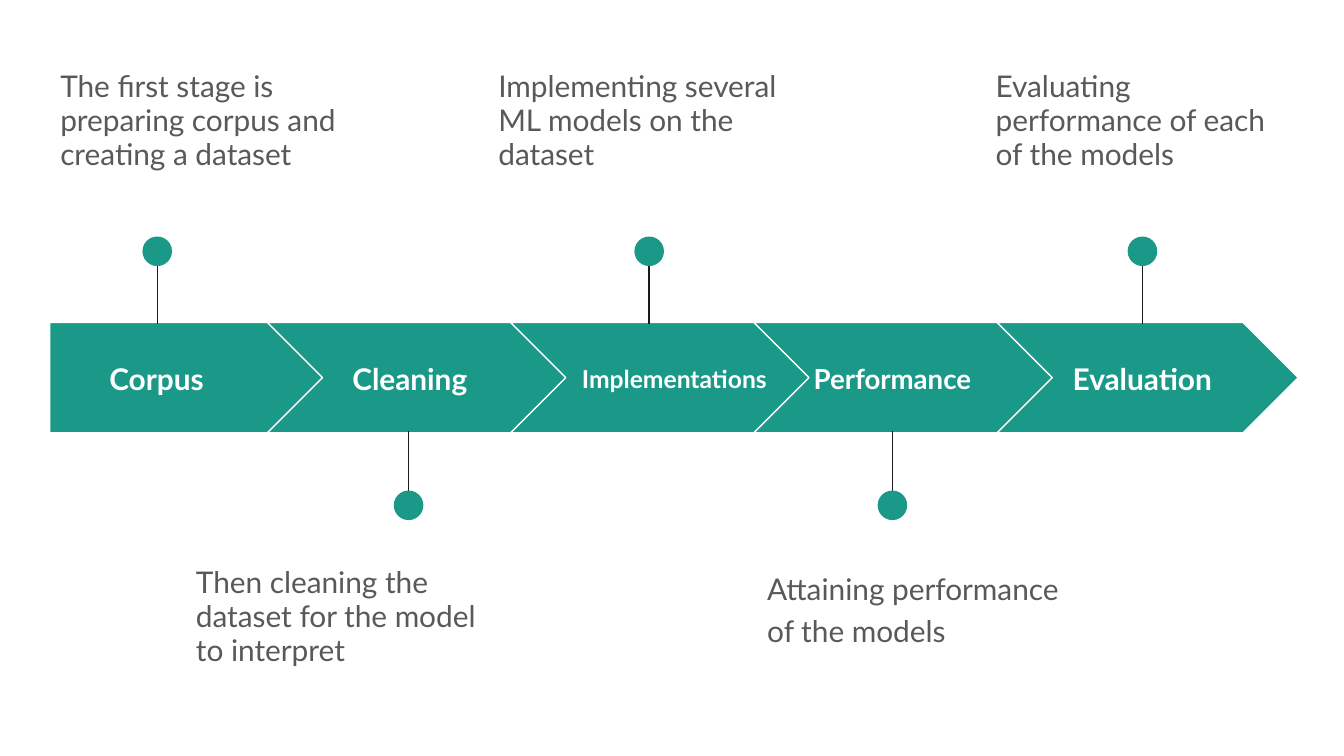
from dataclasses import dataclass

from lxml import etree
from pptx import Presentation
from pptx.dml.color import RGBColor
from pptx.enum.shapes import MSO_CONNECTOR, MSO_SHAPE
from pptx.enum.text import MSO_ANCHOR, PP_ALIGN
from pptx.oxml.ns import qn
from pptx.util import Inches, Pt

STRAIGHT = MSO_CONNECTOR.STRAIGHT
PENTAGON, CHEVRON, OVAL = MSO_SHAPE.PENTAGON, MSO_SHAPE.CHEVRON, MSO_SHAPE.OVAL
TOP, MIDDLE = MSO_ANCHOR.TOP, MSO_ANCHOR.MIDDLE
LEFT, CENTER = PP_ALIGN.LEFT, PP_ALIGN.CENTER


@dataclass(frozen=True)
class Theme:
    font: str = "Lato"
    accent: RGBColor = RGBColor(0x1A, 0x99, 0x88)
    white: RGBColor = RGBColor(0xFF, 0xFF, 0xFF)
    body: RGBColor = RGBColor(0x59, 0x59, 0x59)
    stem: RGBColor = RGBColor(0x1A, 0x1A, 0x1A)
    text_size: float = 16
    line_width: float = 0.75


theme = Theme()

presentation = Presentation()
presentation.slide_width = Inches(10)
presentation.slide_height = Inches(10 * 9 / 16)
slide = presentation.slides.add_slide(presentation.slide_layouts[6])


def add_text(text, left, top, width, height, size=theme.text_size, color=theme.body,
             bold=False, align=LEFT, anchor=TOP, line_spacing=1.0, space_after=0):
    box = slide.shapes.add_textbox(Inches(left), Inches(top), Inches(width), Inches(height))
    frame = box.text_frame
    frame.word_wrap = True
    frame.vertical_anchor = anchor
    frame.margin_left = frame.margin_right = Inches(0.1)
    frame.margin_top = frame.margin_bottom = Inches(0.1)
    paragraph = frame.paragraphs[0]
    paragraph.alignment = align
    paragraph.line_spacing = line_spacing
    paragraph.space_after = Pt(space_after)
    run = paragraph.add_run()
    run.text = text
    run.font.name = theme.font
    run.font.size = Pt(size)
    run.font.bold = bold
    run.font.color.rgb = color


def add_filled_shape(kind, left, top, width, height):
    shape = slide.shapes.add_shape(kind, Inches(left), Inches(top), Inches(width), Inches(height))
    shape.shadow.inherit = False
    shape.fill.solid()
    shape.fill.fore_color.rgb = theme.accent
    return shape


column_start, column_step = 0.18, 1.81
arrow_width, first_arrow_left = 2.24, 0.37
band_top, band_height = 2.4, 0.82
label_top, label_height = 2.56, 0.51
note_width, note_height = 2.45, 0.99
dot_size = 0.22

above = {"note": 0.42, "dot": 1.76, "stem": (1.8, 2.41)}
below = {"note": 4.11, "dot": 3.65, "stem": (3.82, 3.21)}

stages = [
    ("Corpus", 16, 0.37, 1.59, 1.17, 0.35, 0.95,
     "The first stage is preparing corpus and creating a dataset"),
    ("Cleaning", 16, 2.33, 1.44, 3.04, 1.36, 0.95,
     "Then cleaning the dataset for the model to interpret"),
    (" Implementations", 13.2, 4.12, 1.75, 4.83, 3.61, 0.95,
     "Implementing several ML models on the dataset"),
    ("Performance", 14.8, 5.92, 1.44, 6.64, 5.61, 1.15,
     "Attaining performance of the models"),
    ("Evaluation", 16, 7.78, 1.44, 8.5, 7.31, 0.95,
     "Evaluating performance of each of the models"),
]

for index, stage in enumerate(stages):
    label, label_size, label_left, label_width, stem_x, note_left, spacing, note = stage
    rows = below if index % 2 else above

    arrow_right = column_start + index * column_step + arrow_width
    arrow_left = arrow_right - arrow_width if index else first_arrow_left
    arrow = add_filled_shape(CHEVRON if index else PENTAGON, arrow_left, band_top,
                             arrow_right - arrow_left, band_height)
    arrow.line.color.rgb = theme.white
    arrow.line.width = Pt(theme.line_width)
    add_text(label, label_left, label_top, label_width, label_height, size=label_size,
             color=theme.white, bold=True, align=CENTER, anchor=MIDDLE)

    stem_start, stem_end = rows["stem"]
    stem = slide.shapes.add_connector(STRAIGHT, Inches(stem_x), Inches(stem_start),
                                      Inches(stem_x), Inches(stem_end))
    stem.line.color.rgb = theme.stem
    stem.line.width = Pt(theme.line_width)
    etree.SubElement(stem.element.spPr, qn("a:effectLst"))

    dot = add_filled_shape(OVAL, stem_x - dot_size / 2, rows["dot"], dot_size, dot_size)
    dot.line.fill.background()

    add_text(note, note_left, rows["note"], note_width, note_height,
             line_spacing=spacing, space_after=12)

presentation.save("out.pptx")
